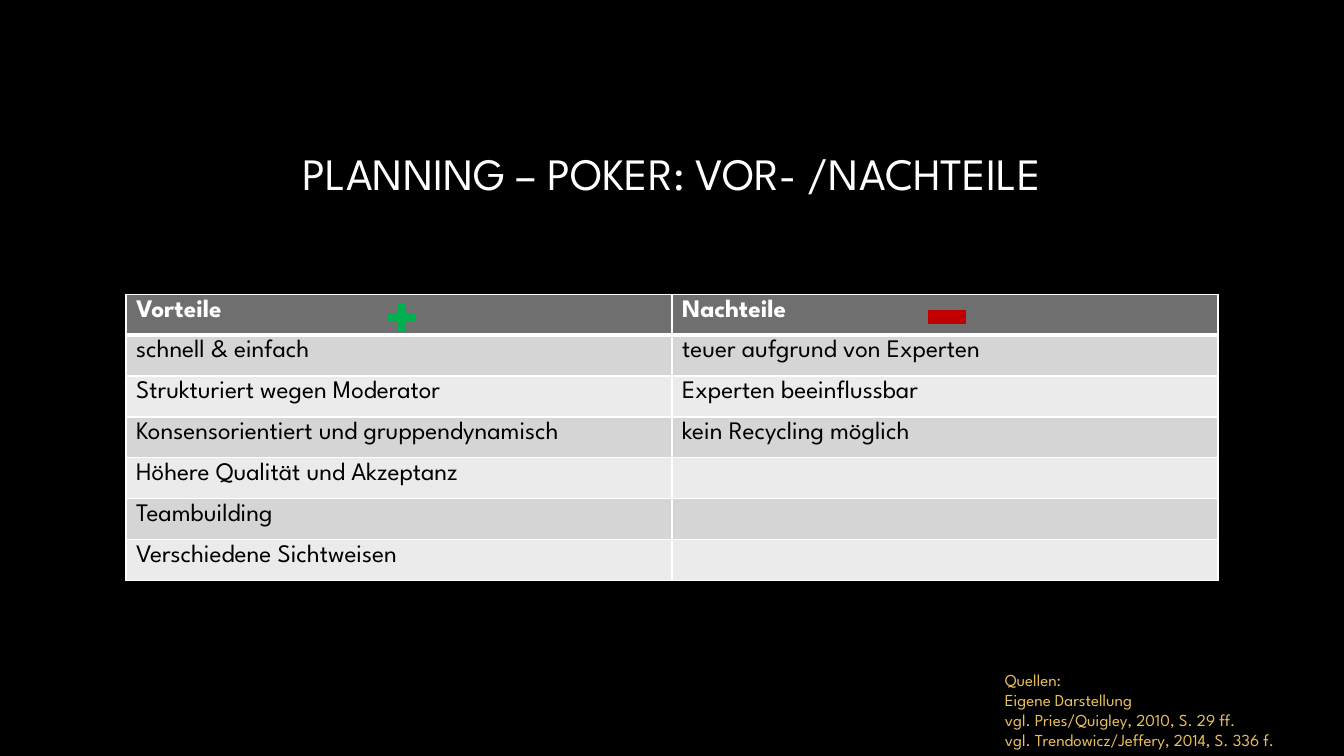
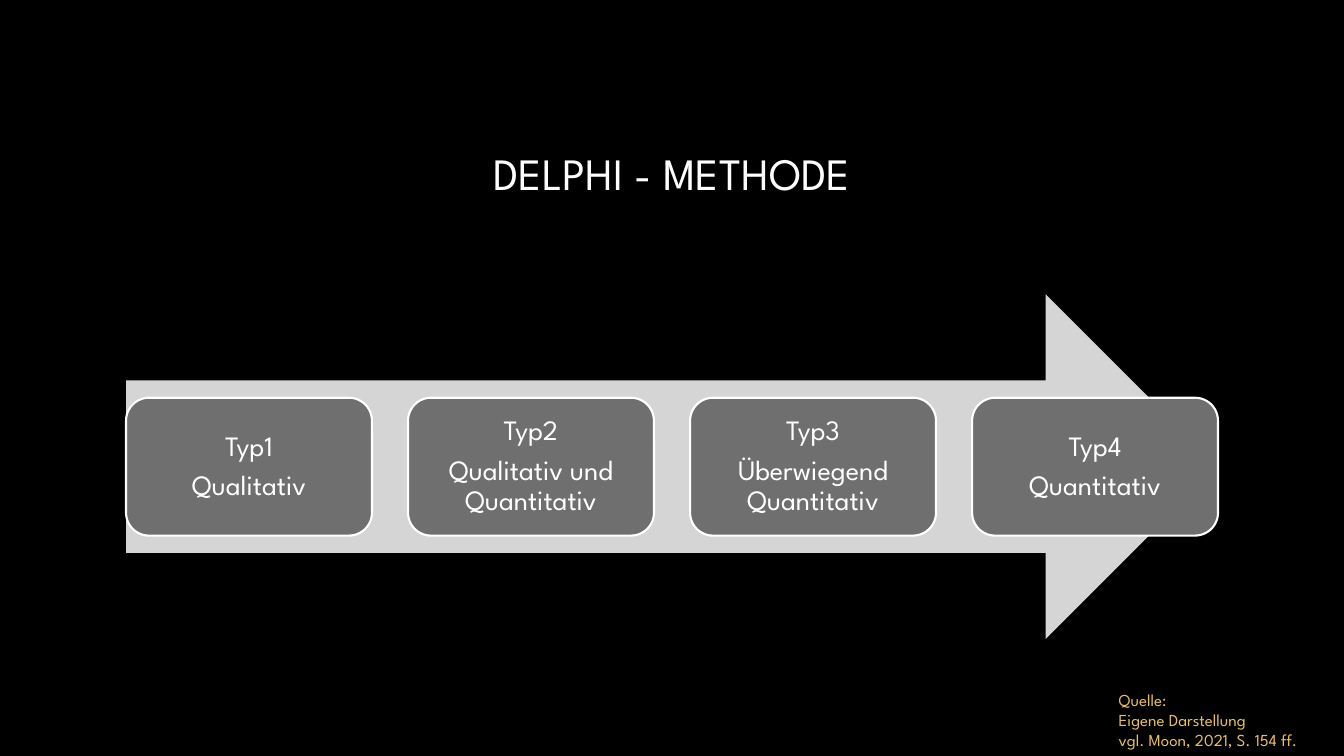
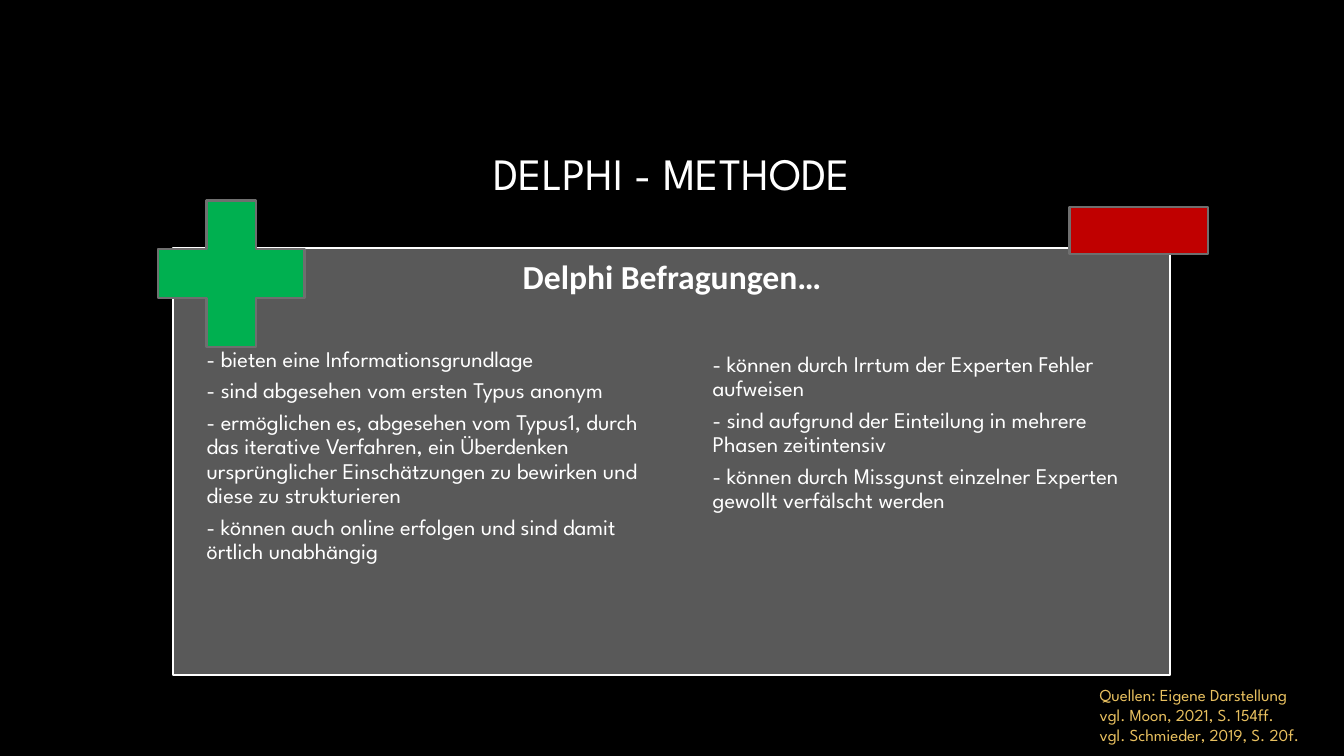
from lxml.etree import SubElement
from pptx import Presentation
from pptx.dml.color import RGBColor
from pptx.enum.shapes import MSO_SHAPE as Shape
from pptx.enum.text import MSO_ANCHOR as Anchor, MSO_AUTO_SIZE as AutoSize, PP_ALIGN as Align
from pptx.oxml.ns import qn
from pptx.util import Inches, Pt

SLIDE_WIDTH, SLIDE_HEIGHT = Inches(13.33), Inches(7.5)
BLACK, WHITE, GOLD = "000000", "FFFFFF", "E7BF5F"
GREY, PANEL_GREY, LIGHT_GREY, PALE_GREY = "6F6F6F", "595959", "D5D5D5", "EBEBEB"
GREEN, RED = "00B050", "C00000"
FONT = "League Spartan"
TITLE_ONLY, TWO_CONTENT = 5, 3

# Areas are left, top, width and height in percent of the slide
CONTENT_LEFT, CONTENT_TOP, CONTENT_WIDTH = 9.38, 38.93, 81.25
TITLE_AREA = (CONTENT_LEFT, 8.93, CONTENT_WIDTH, 27.73)

TITLE_FONT = {"name": FONT, "size": Pt(32)}
TABLE_FONT = {"name": FONT, "size": Pt(18), "bold": False}
HEADER_FONT = TABLE_FONT | {"bold": True}
CARD_FONT = {"name": FONT, "size": Pt(20)}
LIST_FONT = {"name": FONT, "size": Pt(16)}
HEADING_FONT = {"name": "Calibri", "size": Pt(24), "bold": True}
SOURCE_FONT = {"name": FONT, "size": Pt(12)}

CENTRED = {"alignment": Align.CENTER}
CARD_PARAGRAPH = CENTRED | {"line_spacing": 0.9, "space_after": Pt(6.5)}
LIST_PARAGRAPH = {"alignment": Align.LEFT, "line_spacing": 0.9,
                  "space_before": Pt(0), "space_after": Pt(5.5)}
HEADING_PARAGRAPH = CENTRED | {"line_spacing": 1.07, "space_after": Pt(8)}


def color(hex_value):
    return RGBColor.from_string(hex_value)


def apply(target, values):
    for name, value in values.items():
        setattr(target, name, value)


def margins(inches):
    sides = ("left", "right", "top", "bottom")
    return {f"margin_{side}": Inches(inches) for side in sides}


def lengths(area):
    """Turn an area in percent of the slide into lengths."""
    totals = (SLIDE_WIDTH, SLIDE_HEIGHT) * 2
    return [round(total * share / 100) for total, share in zip(totals, area)]


def place(shape, area):
    apply(shape, dict(zip(("left", "top", "width", "height"), lengths(area))))


def write(frame, lines, font, text_color, paragraph_values=None, frame_values=None):
    apply(frame, {"word_wrap": True} | (frame_values or {}))
    for index, line in enumerate(lines):
        paragraph = frame.add_paragraph() if index else frame.paragraphs[0]
        apply(paragraph, paragraph_values or {})
        run = paragraph.add_run()
        run.text = line
        apply(run.font, font)
        run.font.color.rgb = color(text_color)


def add_titled_slide(presentation, layout, title):
    slide = presentation.slides.add_slide(presentation.slide_layouts[layout])
    place(slide.shapes.title, TITLE_AREA)
    write(slide.shapes.title.text_frame, [title], TITLE_FONT, WHITE, CENTRED,
          {"vertical_anchor": Anchor.MIDDLE, "auto_size": AutoSize.NONE})
    return slide


def add_figure(slide, kind, area, fill, line=None):
    shape = slide.shapes.add_shape(kind, *lengths(area))
    shape.shadow.inherit = False
    shape.fill.solid()
    shape.fill.fore_color.rgb = color(fill)
    if line:
        shape.line.color.rgb = color(line)
        shape.line.width = Pt(1.5)
    else:
        shape.line.fill.background()
    return shape


def add_plus_and_minus(slide, plus_area, minus_area):
    plus = add_figure(slide, Shape.CROSS, plus_area, GREEN, GREY)
    plus.adjustments[0] = 0.33
    add_figure(slide, Shape.RECTANGLE, minus_area, RED, GREY)


def add_text(slide, area, *text):
    box = slide.shapes.add_textbox(*lengths(area))
    write(box.text_frame, *text)


def add_sources(slide, left, top, lines):
    add_text(slide, (left, top, 100 - left, 100 - top), lines, SOURCE_FONT, GOLD)


def fill_list(placeholder, area, lines):
    """Write lines without bullets into a body placeholder."""
    place(placeholder, area)
    write(placeholder.text_frame, lines, LIST_FONT, WHITE, LIST_PARAGRAPH,
          margins(0.03) | {"auto_size": AutoSize.NONE})
    for paragraph in placeholder.text_frame.paragraphs:
        properties = paragraph._p.get_or_add_pPr()
        properties.set("marL", "0")
        properties.set("indent", "0")
        SubElement(properties, qn("a:buNone"))


def set_borders(cell, widths):
    """Draw white borders; widths run left, right, top, bottom."""
    properties = cell._tc.get_or_add_tcPr()
    for index, (side, width) in enumerate(zip("LRTB", widths)):
        border = SubElement(properties, qn(f"a:ln{side}"), w=str(Pt(width)))
        fill = SubElement(border, qn("a:solidFill"))
        SubElement(fill, qn("a:srgbClr"), val=WHITE)
        properties.insert(index, border)


def add_comparison_table(slide, area, rows):
    frame = slide.shapes.add_table(len(rows), len(rows[0]), *lengths(area))
    for row_index, row in enumerate(rows):
        header = row_index == 0
        fill = GREY if header else (PALE_GREY, LIGHT_GREY)[row_index % 2]
        widths = (1, 1, 3 if row_index == 1 else 1, 3 if header else 1)
        for column_index, text in enumerate(row):
            cell = frame.table.cell(row_index, column_index)
            cell.fill.solid()
            cell.fill.fore_color.rgb = color(fill)
            set_borders(cell, widths)
            if text:
                write(cell.text_frame, [text], HEADER_FONT if header else TABLE_FONT,
                      WHITE if header else BLACK)


def add_card_row(slide, area, cards, card_width):
    """Spread cards evenly over the width of an area."""
    left, top, width, height = area
    step = (width - card_width) / (len(cards) - 1)
    for index, lines in enumerate(cards):
        card = add_figure(slide, Shape.ROUNDED_RECTANGLE,
                          (left + index * step, top, card_width, height), GREY, WHITE)
        write(card.text_frame, lines, CARD_FONT, WHITE, CARD_PARAGRAPH,
              margins(0.08) | {"vertical_anchor": Anchor.MIDDLE})


def build_planning_poker(presentation):
    slide = add_titled_slide(presentation, TITLE_ONLY, "PLANNING – POKER: VOR- /NACHTEILE")
    add_comparison_table(slide, (CONTENT_LEFT, CONTENT_TOP, CONTENT_WIDTH, 37.87), [
        ("Vorteile", "Nachteile"),
        ("schnell & einfach", "teuer aufgrund von Experten"),
        ("Strukturiert wegen Moderator", "Experten beeinflussbar"),
        ("Konsensorientiert und gruppendynamisch", "kein Recycling möglich"),
        ("Höhere Qualität und Akzeptanz", ""),
        ("Teambuilding", ""),
        ("Verschiedene Sichtweisen", ""),
    ])
    add_plus_and_minus(slide, (28.73, 40, 2.25, 3.87), (69, 40.93, 2.92, 2.13))
    add_sources(slide, 74.03, 87.87, [
        "Quellen:", "Eigene Darstellung", "vgl. Pries/Quigley, 2010, S. 29 ff.",
        "vgl. Trendowicz/Jeffery, 2014, S. 336 f."])


def build_delphi_types(presentation):
    slide = add_titled_slide(presentation, TITLE_ONLY, "DELPHI - METHODE")
    arrow_height = 45.6
    add_figure(slide, Shape.RIGHT_ARROW,
               (CONTENT_LEFT, CONTENT_TOP, CONTENT_WIDTH, arrow_height), LIGHT_GREY)
    card_area = (CONTENT_LEFT, CONTENT_TOP + 0.3 * arrow_height,
                 CONTENT_WIDTH, 0.4 * arrow_height)
    add_card_row(slide, card_area, [
        ("Typ1", "Qualitativ"),
        ("Typ2", "Qualitativ und Quantitativ"),
        ("Typ3", "Überwiegend Quantitativ"),
        ("Typ4", "Quantitativ"),
    ], card_width=18.3)
    add_sources(slide, 82.5, 90.53, [
        "Quelle:", "Eigene Darstellung", "vgl. Moon, 2021, S. 154 ff."])


def build_delphi_comparison(presentation):
    slide = add_titled_slide(presentation, TWO_CONTENT, "DELPHI - METHODE")
    panel = add_figure(slide, Shape.RECTANGLE, (12.9, 32.8, 74.18, 56.53), PANEL_GREY, WHITE)
    slide.shapes.title._element.addprevious(panel._element)
    fill_list(slide.placeholders[1], (15.15, 45.6, 34.13, 43.6), [
        "- bieten eine Informationsgrundlage",
        "- sind abgesehen vom ersten Typus anonym",
        "- ermöglichen es, abgesehen vom Typus1, durch das iterative Verfahren, "
        "ein Überdenken ursprünglicher Einschätzungen zu bewirken und diese zu strukturieren",
        "- können auch online erfolgen und sind damit örtlich unabhängig"])
    fill_list(slide.placeholders[2], (52.8, 46.27, 33.6, 43), [
        "- können durch Irrtum der Experten Fehler aufweisen",
        "- sind aufgrund der Einteilung in mehrere Phasen zeitintensiv",
        "- können durch Missgunst einzelner Experten gewollt verfälscht werden"])
    add_plus_and_minus(slide, (11.78, 26.53, 10.88, 19.33), (79.58, 27.33, 10.28, 6.27))
    add_text(slide, (25, 32.8, 50, 6.8), ["Delphi Befragungen…"],
             HEADING_FONT, WHITE, HEADING_PARAGRAPH)
    add_sources(slide, 81.08, 89.87, [
        "Quellen: Eigene Darstellung", "vgl. Moon, 2021, S. 154ff.",
        "vgl. Schmieder, 2019, S. 20f."])


def main():
    presentation = Presentation()
    apply(presentation, {"slide_width": SLIDE_WIDTH, "slide_height": SLIDE_HEIGHT})
    background = presentation.slide_master.background.fill
    background.solid()
    background.fore_color.rgb = color(BLACK)
    build_planning_poker(presentation)
    build_delphi_types(presentation)
    build_delphi_comparison(presentation)
    presentation.save("out.pptx")


if __name__ == "__main__":
    main()
